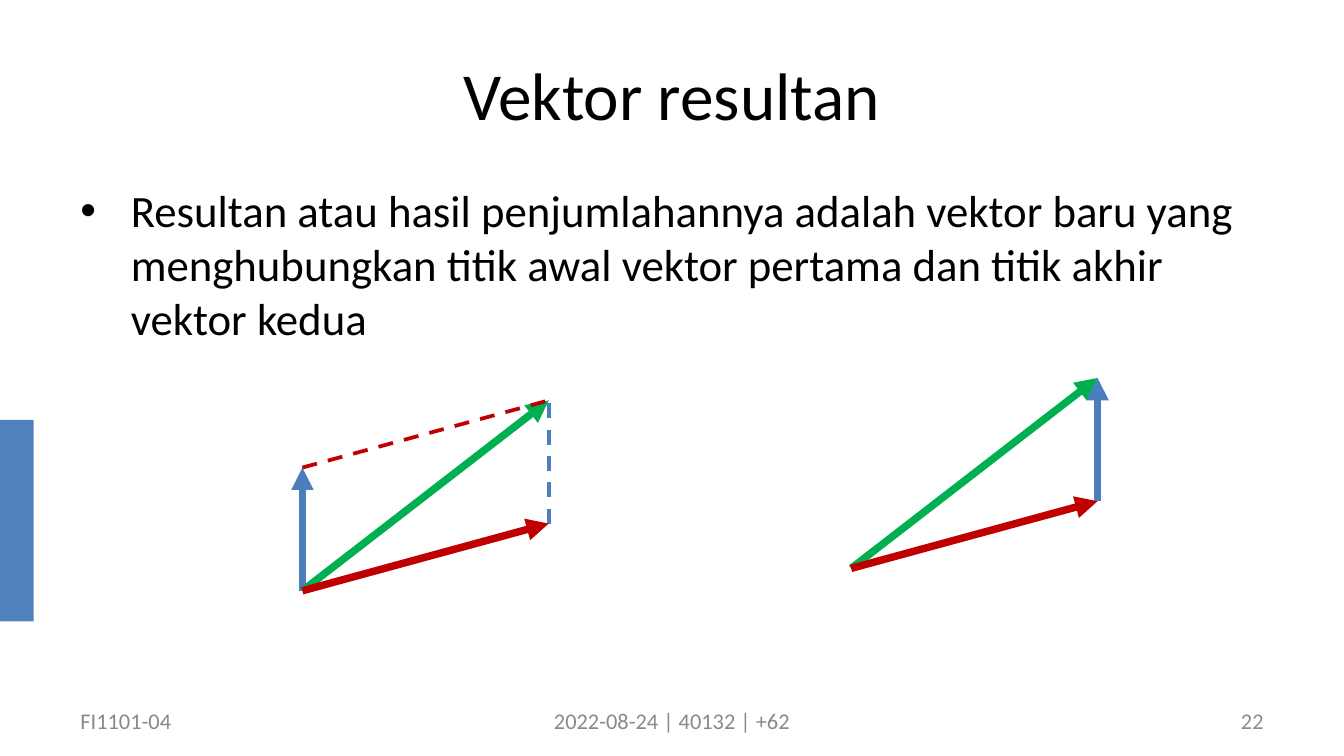
from dataclasses import dataclass

from lxml.etree import SubElement
from pptx import Presentation
from pptx.dml.color import RGBColor
from pptx.enum.dml import MSO_LINE
from pptx.enum.shapes import MSO_CONNECTOR, MSO_SHAPE
from pptx.enum.text import MSO_ANCHOR, PP_ALIGN
from pptx.oxml.ns import qn
from pptx.util import Pt


@dataclass(frozen=True)
class Theme:
    """Colours, font and type sizes of the slide."""
    font: str = "Calibri"
    ink: RGBColor = RGBColor(0x00, 0x00, 0x00)
    muted: RGBColor = RGBColor(0x89, 0x89, 0x89)
    number: RGBColor = RGBColor(0x8C, 0x8C, 0x8C)
    accent: RGBColor = RGBColor(0x4F, 0x81, 0xBD)
    blue: RGBColor = RGBColor(0x4B, 0x7E, 0xBC)
    green: RGBColor = RGBColor(0x00, 0xB0, 0x50)
    red: RGBColor = RGBColor(0xC0, 0x00, 0x00)
    title_size: int = 36
    body_size: int = 24
    footer_size: int = 12
    vector_width: int = 4
    guide_width: int = 2


THEME = Theme()
FIRST_VECTOR = (132, -36)
SECOND_VECTOR = (0, -66)


def add_text(slide, box, text, size, color, align=PP_ALIGN.LEFT, anchor=MSO_ANCHOR.MIDDLE):
    """Add a one-paragraph text box and return its paragraph."""
    frame = slide.shapes.add_textbox(*map(Pt, box)).text_frame
    frame.word_wrap = True
    frame.vertical_anchor = anchor
    paragraph = frame.paragraphs[0]
    paragraph.alignment = align
    run = paragraph.add_run()
    run.text = text
    run.font.name = THEME.font
    run.font.size = Pt(size)
    run.font.color.rgb = color
    return paragraph


def add_accent(slide, box):
    """Add the coloured bar at the slide edge."""
    bar = slide.shapes.add_shape(MSO_SHAPE.RECTANGLE, *map(Pt, box))
    bar.shadow.inherit = False
    bar.fill.solid()
    bar.fill.fore_color.rgb = THEME.accent
    bar.line.fill.background()


def add_title(slide, box):
    """Add the centred title."""
    add_text(slide, box, "Vektor resultan", THEME.title_size, THEME.ink, PP_ALIGN.CENTER)


def add_body(slide, box):
    """Add the bulleted definition."""
    text = ("Resultan atau hasil penjumlahannya adalah vektor baru yang "
            "menghubungkan titik awal vektor pertama dan titik akhir vektor kedua")
    paragraph = add_text(slide, box, text, THEME.body_size, THEME.ink, anchor=MSO_ANCHOR.TOP)
    properties = paragraph._p.get_or_add_pPr()
    properties.set("marL", str(Pt(27)))
    properties.set("indent", str(-Pt(27)))
    SubElement(properties, qn("a:buFont"), typeface="Arial")
    SubElement(properties, qn("a:buChar"), char="•")


def add_footer(slide, box):
    """Add the course code, date and slide number across the box."""
    left, top, width, height = box
    size = THEME.footer_size
    add_text(slide, (left, top, 186, height), "FI1101-04", size, THEME.muted)
    add_text(slide, (left + (width - 228) / 2, top, 228, height),
             "2022-08-24 | 40132 | +62", size, THEME.muted, PP_ALIGN.CENTER)
    add_text(slide, (left + width - 168, top, 168, height),
             "22", size, THEME.number, PP_ALIGN.RIGHT)


def shift(point, vector):
    """Return the point moved along the vector."""
    return point[0] + vector[0], point[1] + vector[1]


def add_line(slide, start, vector, color, dashed=False):
    """Add a vector arrow, or a dashed guide without a head."""
    line = slide.shapes.add_connector(
        MSO_CONNECTOR.STRAIGHT, *map(Pt, (*start, *shift(start, vector))))
    line.line.color.rgb = color
    line.line.width = Pt(THEME.guide_width if dashed else THEME.vector_width)
    if dashed:
        line.line.dash_style = MSO_LINE.DASH
    else:
        SubElement(line.line._get_or_add_ln(), qn("a:tailEnd"), type="triangle")
    SubElement(line._element.spPr, qn("a:effectLst"))


def add_parallelogram(slide, box):
    """Add the sum of two vectors by the parallelogram rule."""
    left, top, width, height = box
    origin = (left, top + height)
    add_line(slide, origin, SECOND_VECTOR, THEME.blue)
    add_line(slide, origin, (width, -height), THEME.green)
    add_line(slide, shift(origin, FIRST_VECTOR), SECOND_VECTOR, THEME.blue, dashed=True)
    add_line(slide, shift(origin, SECOND_VECTOR), FIRST_VECTOR, THEME.red, dashed=True)
    add_line(slide, origin, FIRST_VECTOR, THEME.red)


def add_triangle(slide, box):
    """Add the sum of two vectors placed head to tail."""
    left, top, width, height = box
    origin = (left, top + height)
    add_line(slide, origin, (width, -height), THEME.green)
    add_line(slide, origin, FIRST_VECTOR, THEME.red)
    add_line(slide, shift(origin, FIRST_VECTOR), SECOND_VECTOR, THEME.blue)


def main():
    """Build and save the slide."""
    presentation = Presentation()
    presentation.slide_width, presentation.slide_height = Pt(720), Pt(405)
    slide = presentation.slides.add_slide(presentation.slide_layouts[6])
    width, height = shift(FIRST_VECTOR, SECOND_VECTOR)
    add_accent(slide, (0, 225, 18, 108))
    add_title(slide, (36, 16.5, 648, 67.5))
    add_body(slide, (36, 94.5, 648, 267))
    add_footer(slide, (36, 375.38, 648, 21.5))
    add_triangle(slide, (456, 202.5, width, -height))
    add_parallelogram(slide, (162, 214.5, width, -height))
    presentation.save("out.pptx")


if __name__ == "__main__":
    main()
